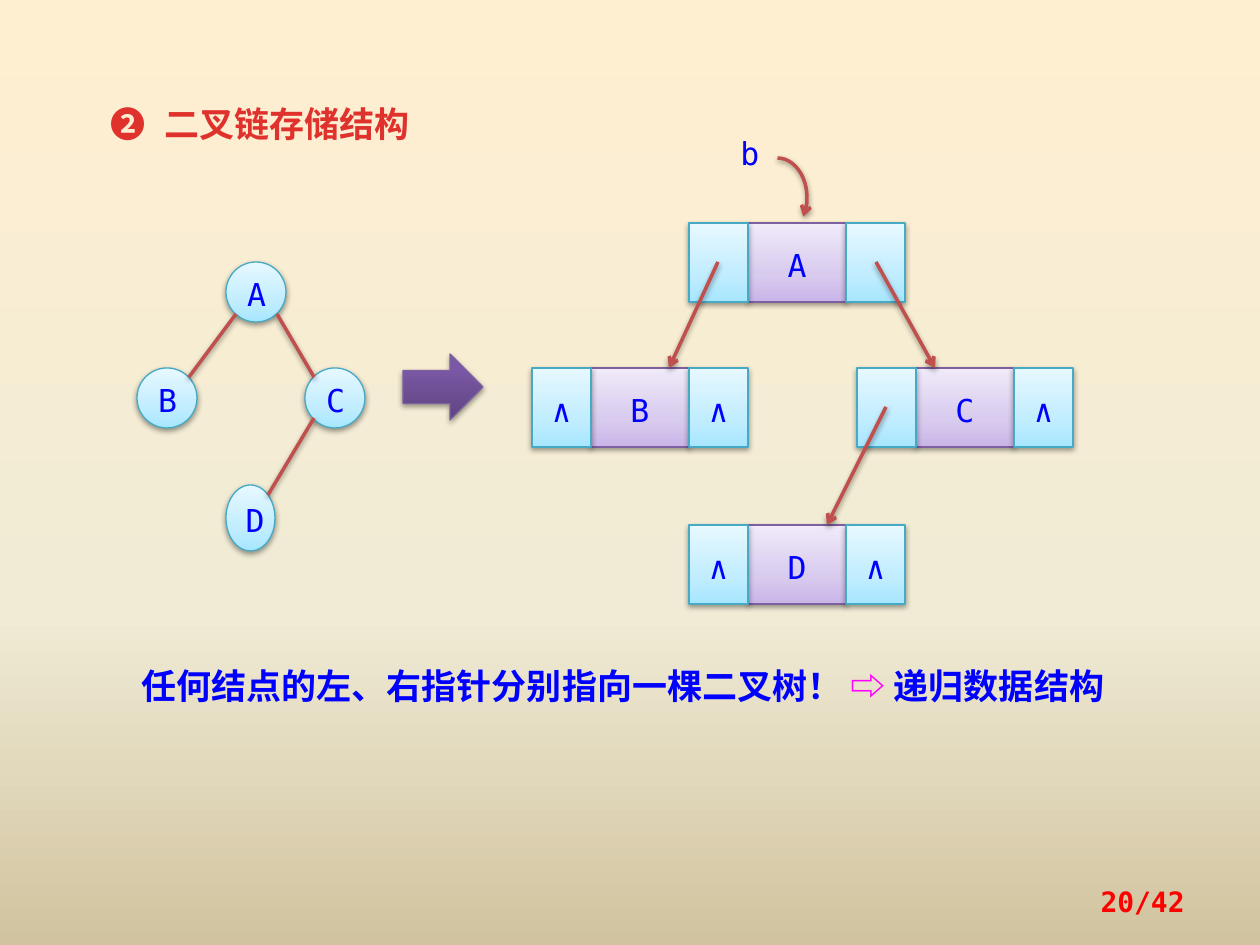
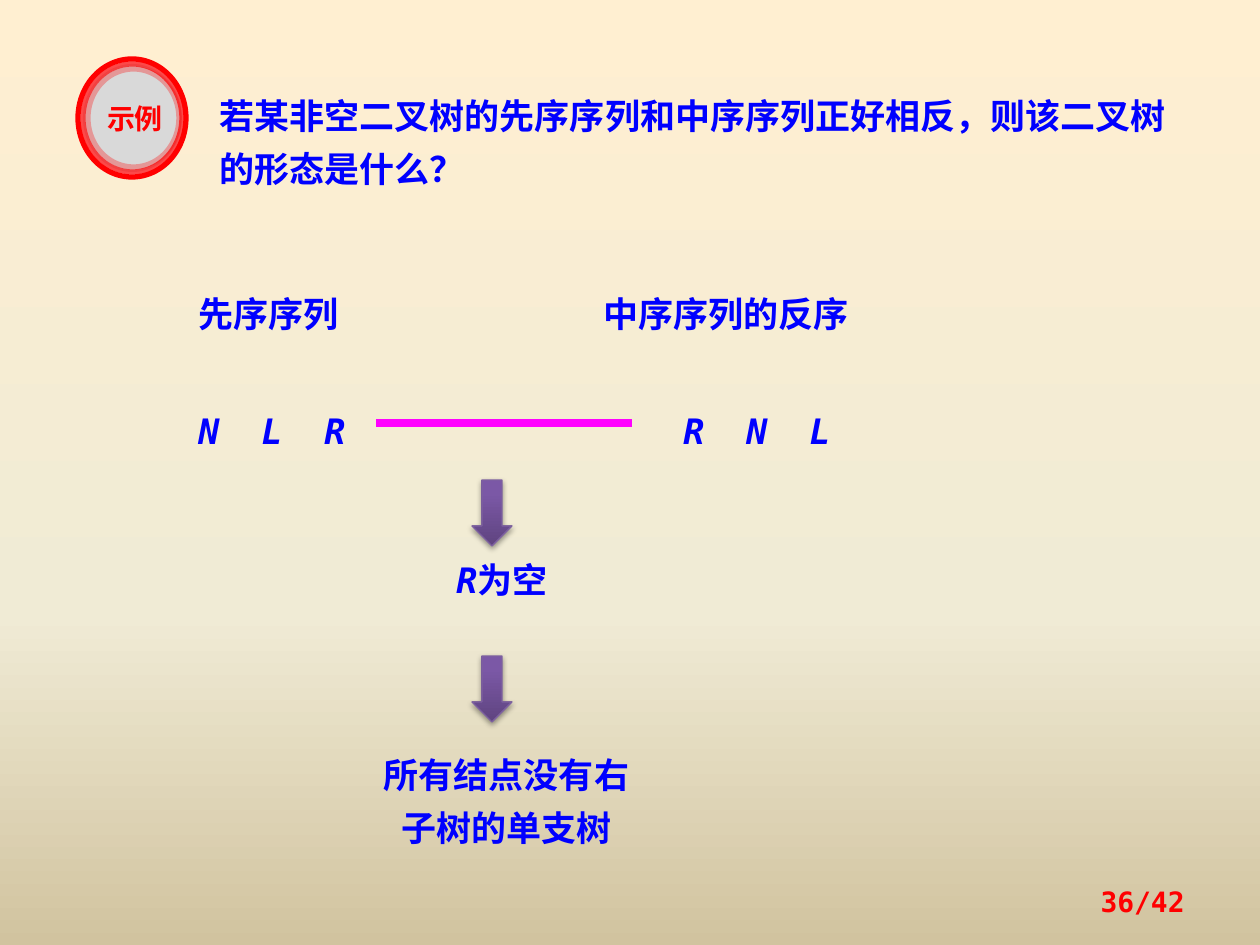
import lxml.etree
import pptx
import pptx.dml.color
import pptx.enum.shapes
import pptx.enum.text
import pptx.oxml.ns
import pptx.util

RGB = pptx.dml.color.RGBColor
PRESET = pptx.enum.shapes.MSO_SHAPE
ALIGN = pptx.enum.text.PP_ALIGN
MIDDLE = pptx.enum.text.MSO_ANCHOR.MIDDLE
STRAIGHT = pptx.enum.shapes.MSO_CONNECTOR.STRAIGHT
Pt = pptx.util.Pt
qn = pptx.oxml.ns.qn

PX = 914400 / 126
BLUE = RGB(0x00, 0x00, 0xFF)
RED = RGB(0xFF, 0x00, 0x00)
TITLE_RED = RGB(0xE0, 0x32, 0x2D)
MAGENTA = RGB(0xFF, 0x00, 0xFF)
BRICK = RGB(0xC0, 0x50, 0x4D)
TEAL = RGB(0x46, 0xAA, 0xC5)
PURPLE = RGB(0x7D, 0x60, 0xA0)
PALE = RGB(0xF8, 0xF8, 0xF8)
GREY = RGB(0xD9, 0xD9, 0xD9)
SAND_STOPS = [(0, RGB(0xFF, 0xEF, 0xD1)), (65, RGB(0xF0, 0xEB, 0xD5)), (100, RGB(0xD1, 0xC3, 0x9F))]
SKY_STOPS = [(0, RGB(0xA7, 0xE6, 0xFF)), (35, RGB(0xC1, 0xED, 0xFF)), (100, RGB(0xE7, 0xF8, 0xFF))]
LILAC_STOPS = [(0, RGB(0xC9, 0xB5, 0xE8)), (35, RGB(0xD8, 0xCB, 0xEE)), (100, RGB(0xF0, 0xEA, 0xF9))]
PLUM_STOPS = [(0, RGB(0x5F, 0x44, 0x80)), (80, RGB(0x7B, 0x58, 0xA6)), (100, RGB(0x7C, 0x57, 0xA8))]

MONO = "DejaVu Sans Mono"
CJK = "Noto Sans CJK SC"
LABEL = {"name": MONO, "size": Pt(18), "bold": False}
STRONG = {"name": MONO, "size": Pt(20), "bold": True}
SLANTED = {**STRONG, "italic": True}
QUESTION = {**STRONG, "name": "Times New Roman"}
CONCLUSION = {**STRONG, "name": CJK}
SMALL = {"name": MONO, "size": Pt(16), "bold": True}
BADGE = {**SMALL, "name": CJK}


def paint(owner, fill, stops, angle):
    fill.gradient()
    fill.gradient_angle = angle
    stop_list = owner.element.find(".//" + qn("a:gsLst"))
    for stop in list(stop_list):
        stop_list.remove(stop)
    for position, colour in stops:
        stop = lxml.etree.SubElement(stop_list, qn("a:gs"), pos=str(position * 1000))
        lxml.etree.SubElement(stop, qn("a:srgbClr"), val=str(colour))


def write(box, spans, align, leading):
    box.text_frame.word_wrap = True
    para = box.text_frame.paragraphs[0]
    para.alignment = align
    para.line_spacing = leading
    for words, colour, formats in spans:
        span = para.add_run()
        span.text = words
        for name, value in formats.items():
            setattr(span.font, name, value)
        span.font.color.rgb = colour
        east_asian = lxml.etree.SubElement(span.font._element, qn("a:ea"))
        east_asian.set("typeface", CJK)
    return para


deck = pptx.Presentation()
deck.slide_width = round(1260 * PX)
deck.slide_height = round(945 * PX)
storage, example = [deck.slides.add_slide(deck.slide_layouts[6]) for _ in range(2)]
for page in (storage, example):
    paint(page, page.background.fill, SAND_STOPS, 270)

outlined = []

shapes = [
    (storage, PRESET.OVAL, (137, 368, 60, 60), SKY_STOPS, TEAL, "B"),
    (storage, PRESET.OVAL, (226, 262, 60, 60), SKY_STOPS, TEAL, "A"),
    (storage, PRESET.OVAL, (305, 368, 60, 60), SKY_STOPS, TEAL, "C"),
    (storage, PRESET.OVAL, (226, 485, 49, 66), SKY_STOPS, TEAL, "D"),
    (storage, PRESET.RIGHT_ARROW, (403, 354, 80, 66), PLUM_STOPS, PURPLE, ""),
    (example, PRESET.DOWN_ARROW, (472, 480, 40, 66), PLUM_STOPS, PURPLE, ""),
    (example, PRESET.DOWN_ARROW, (472, 656, 40, 66), PLUM_STOPS, PURPLE, ""),
]
DATA_WIDTH, POINTER_WIDTH, CELL_HEIGHT = 98, 59, 79
for left, top, left_mark, data, right_mark in [
    (689, 223, "", "A", ""),
    (532, 368, "∧", "B", "∧"),
    (857, 368, "", "C", "∧"),
    (689, 525, "∧", "D", "∧"),
]:
    data_left = left + POINTER_WIDTH
    for cell_left, width, stops, colour, mark in [
        (data_left, DATA_WIDTH, LILAC_STOPS, PURPLE, data),
        (data_left + DATA_WIDTH, POINTER_WIDTH, SKY_STOPS, TEAL, right_mark),
        (left, POINTER_WIDTH, SKY_STOPS, TEAL, left_mark),
    ]:
        shapes.append((storage, PRESET.RECTANGLE, (cell_left, top, width, CELL_HEIGHT), stops, colour, mark))

for page, preset, place, stops, colour, mark in shapes:
    shape = page.shapes.add_shape(preset, *[round(length * PX) for length in place])
    paint(shape, shape.fill, stops, 90)
    shape.text_frame.vertical_anchor = MIDDLE
    if mark:
        write(shape, [(mark, BLUE, LABEL)], ALIGN.CENTER, 1.1)
    outlined.append((shape, colour, 0.75, 100, False, True))

entry = storage.shapes.add_shape(PRESET.ARC, *[round(length * PX) for length in (748, 158, 59, 79)])
entry.adjustments[0] = 162
entry.adjustments[1] = 21.94
entry.fill.background()
outlined.append((entry, BRICK, 2, 100, True, True))

for page, ends, colour, width, arrow, shadow in [
    (storage, (236, 314, 189, 377), BRICK, 2, False, True),
    (storage, (277, 314, 314, 377), BRICK, 2, False, True),
    (storage, (314, 418, 268, 495), BRICK, 2, False, True),
    (storage, (718, 262, 669, 368), BRICK, 2, True, True),
    (storage, (876, 262, 935, 368), BRICK, 2, True, True),
    (storage, (886, 407, 827, 525), BRICK, 2, True, True),
    (example, (376, 423, 632, 423), MAGENTA, 4.5, False, False),
]:
    link = page.shapes.add_connector(STRAIGHT, *[round(length * PX) for length in ends])
    outlined.append((link, colour, width, 100, arrow, shadow))

for place, colour, opacity in [
    ((78, 59, 108, 118), PALE, 100),
    ((83, 64, 99, 108), GREY, 70),
    ((88, 69, 91, 98), None, 30),
]:
    ring = example.shapes.add_shape(PRESET.OVAL, *[round(length * PX) for length in place])
    if colour:
        ring.fill.solid()
        ring.fill.fore_color.rgb = colour
    else:
        ring.fill.background()
    outlined.append((ring, RED, 3, opacity, False, False))

for shape, colour, width, opacity, arrow, shadow in outlined:
    shape.line.color.rgb = colour
    shape.line.width = Pt(width)
    line = shape.element.spPr.find(qn("a:ln"))
    if opacity < 100:
        tint = line.find(".//" + qn("a:srgbClr"))
        lxml.etree.SubElement(tint, qn("a:alpha"), val=str(opacity * 1000))
    if arrow:
        lxml.etree.SubElement(line, qn("a:tailEnd"), type="arrow")
    effects = lxml.etree.SubElement(shape.element.spPr, qn("a:effectLst"))
    if shadow:
        cast = lxml.etree.SubElement(
            effects, qn("a:outerShdw"), blurRad="40000", dist="20000", dir="5400000", rotWithShape="0"
        )
        black = lxml.etree.SubElement(cast, qn("a:srgbClr"), val="000000")
        lxml.etree.SubElement(black, qn("a:alpha"), val="38000")

texts = [
    (storage, (98, 92, 452, 57), [("❷\t二叉链存储结构", TITLE_RED, STRONG)], ALIGN.LEFT, 1.1, [54]),
    (storage, (728, 131, 69, 48), [("b", BLUE, LABEL)], ALIGN.LEFT, Pt(20), []),
    (storage, (129, 648, 1092, 60), [
        ("任何结点的左、右指针分别指向一棵二叉树！ ", BLUE, STRONG),
        ("⇨", MAGENTA, STRONG),
        (" 递归数据结构", BLUE, STRONG),
    ], ALIGN.LEFT, Pt(30), []),
    (example, (207, 78, 1004, 113), [
        ("若某非空二叉树的先序序列和中序序列正好相反，则该二叉树的形态是什么？", BLUE, QUESTION),
    ], ALIGN.LEFT, Pt(30), []),
    (example, (186, 276, 237, 66), [("先序序列", BLUE, STRONG)], ALIGN.LEFT, Pt(30), []),
    (example, (186, 393, 200, 66), [("N\tL\tR", BLUE, SLANTED)], ALIGN.LEFT, Pt(30), [63, 126]),
    (example, (591, 276, 354, 66), [("中序序列的反序", BLUE, STRONG)], ALIGN.LEFT, Pt(30), []),
    (example, (671, 393, 200, 66), [("R\tN\tL", BLUE, SLANTED)], ALIGN.LEFT, Pt(30), [63, 126]),
    (example, (444, 542, 129, 60), [("R", BLUE, SLANTED), ("为空", BLUE, STRONG)], ALIGN.LEFT, Pt(30), []),
    (example, (354, 737, 305, 113), [("所有结点没有右子树的单支树", BLUE, CONCLUSION)], ALIGN.CENTER, Pt(30), []),
    (example, (89, 92, 92, 40), [("示例", RED, BADGE)], ALIGN.CENTER, 1.1, []),
]
for page, number in [(storage, 20), (example, 36)]:
    texts.append((page, (903, 878, 294, 50), [(f"{number}/42", RED, SMALL)], ALIGN.RIGHT, 1.0, []))

for page, place, spans, align, leading, tabs in texts:
    box = page.shapes.add_textbox(*[round(length * PX) for length in place])
    para = write(box, spans, align, leading)
    if tabs:
        tab_list = lxml.etree.SubElement(para._p.get_or_add_pPr(), qn("a:tabLst"))
        for position in tabs:
            lxml.etree.SubElement(tab_list, qn("a:tab"), pos=str(round(position * PX)), algn="l")

deck.save("out.pptx")
